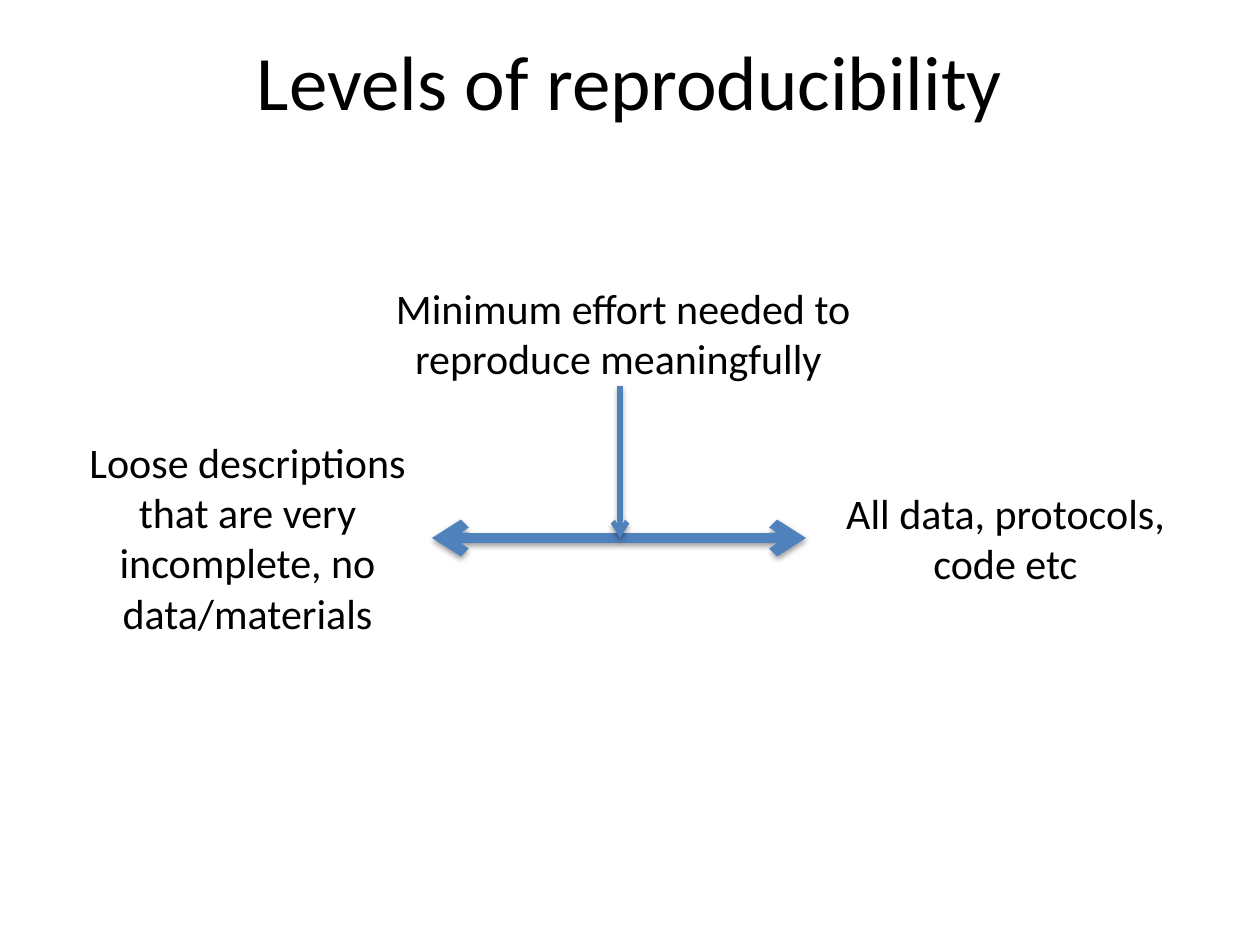
"""Build the slide on levels of reproducibility."""
from dataclasses import dataclass

from lxml import etree
from pptx import Presentation
from pptx.dml.color import RGBColor
from pptx.enum.shapes import MSO_CONNECTOR
from pptx.enum.text import MSO_ANCHOR, MSO_AUTO_SIZE, PP_ALIGN
from pptx.oxml.ns import qn
from pptx.util import Pt

STRAIGHT = MSO_CONNECTOR.STRAIGHT
CENTER = PP_ALIGN.CENTER
MIDDLE = MSO_ANCHOR.MIDDLE
TOP = MSO_ANCHOR.TOP
GROW = MSO_AUTO_SIZE.SHAPE_TO_FIT_TEXT
FIXED = MSO_AUTO_SIZE.NONE
LEFT_SIDE, RIGHT_SIDE = 1, 3


@dataclass(frozen=True)
class Theme:
    font: str = "Calibri"
    ink: RGBColor = RGBColor(0, 0, 0)
    arrow: RGBColor = RGBColor(0x4F, 0x81, 0xBD)
    shadow: str = "000000"
    title_size: int = 44
    label_size: int = 24


def px(count):
    return round(count * 914400 / 126)


def write_text(box, text, *, size, anchor=TOP, auto_size=GROW):
    frame = box.text_frame
    frame.word_wrap = True
    frame.auto_size = auto_size
    frame.vertical_anchor = anchor
    para = frame.paragraphs[0]
    para.alignment = CENTER
    span = para.add_run()
    span.text = text
    span.font.name = theme.font
    span.font.size = Pt(size)
    span.font.color.rgb = theme.ink


theme = Theme()
deck = Presentation()
deck.slide_width, deck.slide_height = px(1260), px(945)
page = deck.slides.add_slide(deck.slide_layouts[5])

title = page.shapes.title
title.left, title.top, title.width, title.height = px(63), px(1), px(1134), px(158)
write_text(title, "Levels of reproducibility", size=theme.title_size,
           anchor=MIDDLE, auto_size=FIXED)

labels = {
    "loose": ("Loose descriptions that are very incomplete, no data/materials",
              (63, 430, 369, 216)),
    "complete": ("All data, protocols, code etc", (806, 481, 399, 114)),
    "minimum": (" Minimum effort needed to reproduce meaningfully",
                (349, 276, 539, 115)),
}
boxes = {}
for name, (text, place) in labels.items():
    boxes[name] = page.shapes.add_textbox(*map(px, place))
    write_text(boxes[name], text, size=theme.label_size)

scale_arrow = page.shapes.add_connector(STRAIGHT, px(432), px(538), px(806), px(538))
scale_arrow.begin_connect(boxes["loose"], RIGHT_SIDE)
scale_arrow.end_connect(boxes["complete"], LEFT_SIDE)
effort_arrow = page.shapes.add_connector(STRAIGHT, px(620), px(386), px(620), px(538))

for arrow, weight, ends in (
    (scale_arrow, 6, ("a:headEnd", "a:tailEnd")),
    (effort_arrow, 3, ("a:tailEnd",)),
):
    arrow.line.color.rgb = theme.arrow
    arrow.line.width = Pt(weight)
    outline = arrow.line._get_or_add_ln()
    for end in ends:
        etree.SubElement(outline, qn(end), type="arrow")
    effects = etree.SubElement(arrow._element.spPr, qn("a:effectLst"))
    shadow = etree.SubElement(effects, qn("a:outerShdw"), blurRad="40000",
                              dist="20000", dir="5400000", rotWithShape="0")
    tint = etree.SubElement(shadow, qn("a:srgbClr"), val=theme.shadow)
    etree.SubElement(tint, qn("a:alpha"), val="38000")

deck.save("out.pptx")
